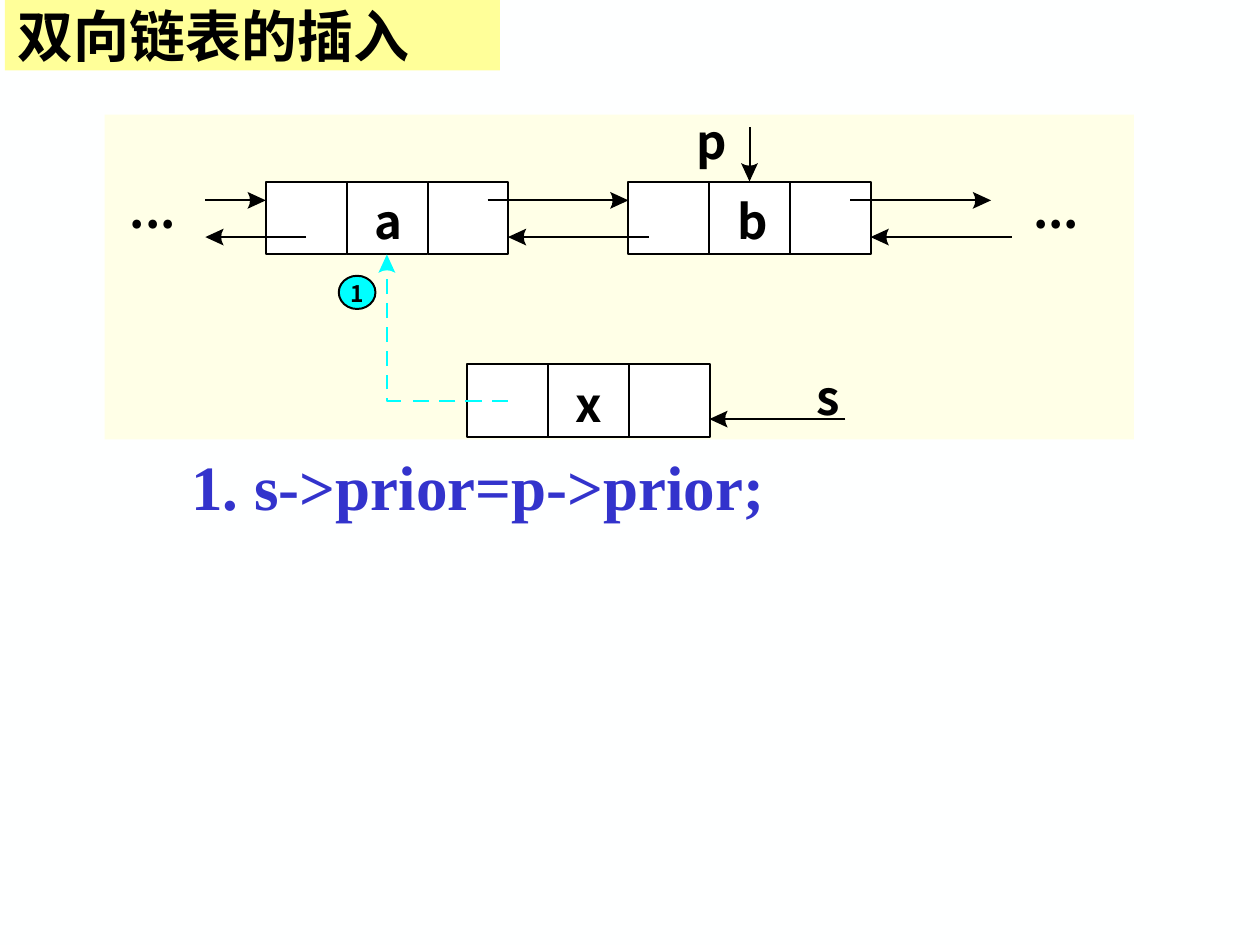
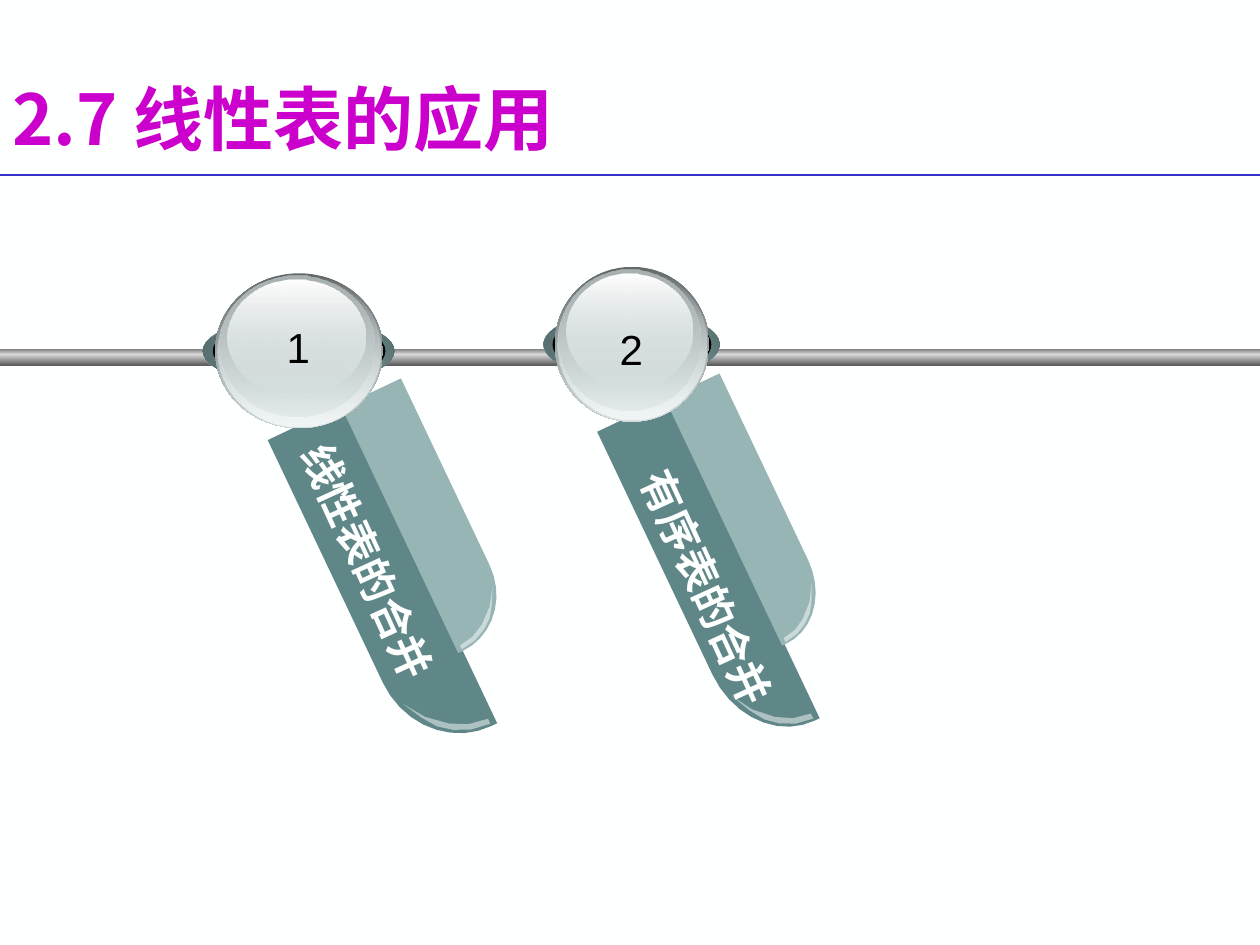
import math
from dataclasses import dataclass
from typing import NamedTuple

from lxml import etree
from pptx import Presentation
from pptx import util as u
from pptx.dml.color import RGBColor
from pptx.enum import shapes as kind
from pptx.enum import text as style
from pptx.oxml.ns import qn


@dataclass(frozen=True)
class Theme:
    back: str = "FEFFFF"
    ink: str = "000000"
    white: str = "FFFFFF"
    blue: str = "3333CC"
    cyan: str = "00FFFF"
    pink: str = "CC00CC"
    band: str = "FFFF99"
    panel: str = "FFFFE7"
    leaf: str = "608788"
    pale: str = "98B5B6"
    cjk: str = "Noto Sans CJK SC"
    serif: str = "Times New Roman"
    sans: str = "Arial"
    title: float = 40
    code: float = 36
    head: float = 32
    node: float = 27
    label: float = 24
    badge: float = 13
    thin: float = 1.13


T = Theme()


class Stop(NamedTuple):
    pos: int
    color: str
    alpha: int = 100


class Grad(NamedTuple):
    angle: int
    stops: tuple


class Disc(NamedTuple):
    """Ellipse placed from the ball's centre line and top, in cm."""
    left: float
    top: float
    width: float
    height: float
    fill: object


class Tag(NamedTuple):
    """Hanging leaf pair under a numbered ball."""
    mid: float      # ball centre line
    top: float      # ball top
    wide: float     # width factor of the ball
    slim: float     # width factor of the leaves
    root: tuple     # corner of the dark leaf
    fork: tuple     # corner of the pale leaf
    text: str
    area: tuple
    wrap: bool
    num: str
    spot: tuple


class Arrow(NamedTuple):
    start: tuple
    end: tuple


# Drawing helpers
def rgb(code: str) -> RGBColor:
    return RGBColor.from_string(code)


def cms(vals) -> list:
    return [u.Cm(v) for v in vals]


def paint(shape, fill, line: str = "", alpha: int = 100) -> None:
    """Set fill and outline; fill is a colour, a Grad or empty."""
    shape.shadow.inherit = False
    if isinstance(fill, Grad):
        shape.fill.gradient()
        grad = shape._element.spPr.find(qn("a:gradFill"))
        grad.clear()
        stops = etree.SubElement(grad, qn("a:gsLst"))
        for stop in fill.stops:
            gs = etree.SubElement(stops, qn("a:gs"), pos=str(stop.pos * 1000))
            tint = etree.SubElement(gs, qn("a:srgbClr"), val=stop.color)
            etree.SubElement(tint, qn("a:alpha"), val=str(stop.alpha * 1000))
        etree.SubElement(grad, qn("a:lin"), ang=str(fill.angle * 60000), scaled="0")
    elif fill:
        shape.fill.solid()
        shape.fill.fore_color.rgb = rgb(fill)
        if alpha < 100:
            tint = shape._element.spPr.find(qn("a:solidFill"))[0]
            etree.SubElement(tint, qn("a:alpha"), val=str(alpha * 1000))
    else:
        shape.fill.background()
    if line:
        shape.line.color.rgb = rgb(line)
        shape.line.width = u.Pt(T.thin)
    else:
        shape.line.fill.background()


def block(home, area, fill, line: str = "", oval: bool = False):
    form = kind.MSO_SHAPE.OVAL if oval else kind.MSO_SHAPE.RECTANGLE
    shape = home.add_shape(form, *cms(area))
    paint(shape, fill, line)
    return shape


def poly(home, pts, fill: str = "", line: str = "", alpha: int = 100) -> None:
    first, *rest = [tuple(cms(p)) for p in pts]
    path = home.build_freeform(*first, scale=1.0)
    path.add_line_segments(rest, close=bool(fill))
    paint(path.convert_to_shape(), fill, line, alpha)


def rule(home, start, end, color: str = T.ink, width: float = T.thin) -> None:
    line = home.add_connector(kind.MSO_CONNECTOR.STRAIGHT, *cms((*start, *end)))
    line.line.color.rgb = rgb(color)
    line.line.width = u.Pt(width)
    etree.SubElement(line._element.spPr, qn("a:effectLst"))


def barb(home, tip, turn: float, color: str = T.ink) -> None:
    """Arrowhead with a hollow back, pointing along turn."""
    cos, sin = math.cos(turn), math.sin(turn)
    form = ((0, 0), (-.37, .17), (-.33, .08), (-.32, 0), (-.33, -.08), (-.37, -.17))
    poly(home, [(tip[0] + x * cos - y * sin, tip[1] + x * sin + y * cos)
                for x, y in form], color)


def arrow(home, item: Arrow) -> None:
    (x, y), (a, b) = item
    turn = math.atan2(b - y, a - x)
    rule(home, item.start, (a - .28 * math.cos(turn), b - .28 * math.sin(turn)))
    barb(home, item.end, turn)


def write(home, text: str, area=None, *, size: float, color: str = T.ink,
          font: str = T.cjk, bold: bool = True, wrap: bool = False,
          tight: bool = False, mid: bool = False, center: bool = False,
          fit: bool = True, turn: float = 0) -> None:
    """Put text in a new box at area, or in the given shape if area is None."""
    box = home.add_textbox(*cms(area)) if area else home
    box.rotation = turn
    frame = box.text_frame
    frame.word_wrap = wrap
    if fit:
        frame.auto_size = style.MSO_AUTO_SIZE.SHAPE_TO_FIT_TEXT
    if tight:
        frame.margin_left = frame.margin_right = 0
        frame.margin_top = frame.margin_bottom = 0
    frame.vertical_anchor = style.MSO_ANCHOR.MIDDLE if mid else style.MSO_ANCHOR.TOP
    para = frame.paragraphs[0]
    para.alignment = style.PP_ALIGN.CENTER if center else style.PP_ALIGN.LEFT
    run = para.add_run()
    run.text = text
    run.font.name, run.font.size, run.font.bold = font, u.Pt(size), bold
    run.font.color.rgb = rgb(color)
    etree.SubElement(run.font._element, qn("a:ea"), typeface=font)


def page(deck):
    slide = deck.slides.add_slide(deck.slide_layouts[6])
    slide.background.fill.solid()
    slide.background.fill.fore_color.rgb = rgb(T.back)
    return slide.shapes


# Slide 1: inserting into a doubly linked list
CELL, TALL = 1.63, 1.47
NODES = (("a", 5.36, 3.66), ("b", 12.67, 3.66), ("x", 9.42, 7.34))
LINKS = (
    Arrow((4.14, 4.04), (5.36, 4.04)), Arrow((6.17, 4.78), (4.14, 4.78)),
    Arrow((9.83, 4.04), (12.67, 4.04)), Arrow((13.08, 4.78), (10.24, 4.78)),
    Arrow((17.14, 4.04), (19.98, 4.04)), Arrow((20.4, 4.78), (17.55, 4.78)),
    Arrow((15.11, 2.57), (15.11, 3.66)), Arrow((17.04, 8.45), (14.3, 8.45)),
)
MARKS = (("...", 20.83, 3.66, 1.45), ("...", 2.62, 3.66, 1.45),
         ("p", 14.05, 2.26, .48), ("s", 16.46, 7.42, .48))


def insert(deck) -> None:
    home = page(deck)
    write(home, "1. s->prior=p->prior;", (3.61, 8.89, 12.07, 1.78),
          size=T.code, color=T.blue, font=T.serif)
    bar = block(home, (.1, 0, 9.98, 1.42), T.band)
    write(bar, "双向链表的插入", size=T.head, wrap=True, mid=True, fit=False)
    block(home, (2.11, 2.31, 20.75, 6.55), T.panel)

    # Nodes of three cells, links and names
    for name, left, top in NODES:
        for col in range(3):
            block(home, (left + col * CELL, top, CELL, TALL), T.white, T.ink)
        write(home, name, (left + CELL + .56, top + .22, .48, 1.14),
              size=T.node, tight=True)
    for link in LINKS:
        arrow(home, link)
    for name, left, top, width in MARKS:
        write(home, name, (left, top, width, 1.14), size=T.node, tight=True)

    # Dashed new link from x up to a
    turn, row, stop = 7.8, 8.08, 5.38
    for i in range(4):
        x = 10.24 - i * .53
        rule(home, (x, row), (x - .33, row), T.cyan)
    poly(home, ((8.08, row), (turn, row), (turn, 8.03)), line=T.cyan)
    for i in range(6):
        y = 7.85 - i * .48
        rule(home, (turn, y), (turn, max(y - .3, stop)), T.cyan)
    barb(home, (turn, 5.13), -math.pi / 2, T.cyan)
    block(home, (6.83, 5.56, .74, .67), T.cyan, T.ink, oval=True)
    write(home, "1", (7.06, 5.64, .23, .56), size=T.badge, tight=True)


# Slide 2: uses of linear lists
def fade(angle: int, *stops) -> Grad:
    return Grad(angle, tuple(Stop(*s) for s in stops))


RIM = (-1.64, .89, .51, 1.35)
RING = (-1.94, .89, 3.86, 1.35)
DISCS = (
    Disc(*RIM, fade(45, (0, "FFFFFF"), (50, "83A6A7"), (100, "FFFFFF"))),
    Disc(*RIM, fade(45, (0, "83A6A7", 32), (100, "000000", 90))),
    Disc(*RING, fade(315, (0, "475A5A"), (50, "83A6A7"), (100, "475A5A"))),
    Disc(*RING, fade(45, (0, "53696A"), (100, "83A6A7", 0))),
    Disc(-1.74, .89, 3.48, 1.35, T.ink),
    Disc(-1.69, 0, 3.38, 3.12, fade(90, (0, "636869"), (100, "D6E1E2"))),
    Disc(-1.64, .03, 3.28, 3.05, fade(90, (0, "D6E1E2", 0), (100, "F1F5F5"))),
    Disc(-1.61, .05, 3.12, 2.84, fade(90, (0, "AAB2B3"), (100, "D6E1E2", 48))),
    Disc(-1.44, .13, 2.77, 2.31, fade(90, (0, "FFFFFF"), (100, "D6E1E2", 38))),
)
TAGS = (
    Tag(6.03, 5.51, 1, 1, (6.96, 8.13), (6.88, 8.2), "线性表的合并",
        (4.62, 10.69, 5.61, 1.27), False, "1", (5.28, 6.35, 1.47, 1.27)),
    Tag(12.74, 5.38, .92, .91, (13.46, 8.03), (13.41, 8.05), "有序表的合并",
        (11.23, 11.56, 6.35, 1.27), True, "2", (11.99, 6.4, 1.47, 1.27)),
)
# Leaf outlines: along the leaf, then across it
ARC = [math.radians(90 - 10 * i) for i in range(10)]
LEAF = [(0, 0), (0, 1.73), *((5.42 + 1.72 * math.cos(a), .13 + 1.6 * math.sin(a))
                             for a in ARC), (7.14, 0)]
GLEAM = ((7.09, .13), (7.03, .53), (6.88, .86), (6.68, 1.12), (6.4, 1.32),
         (5.97, 1.55), (6.4, 1.26), (6.73, .88), (6.91, .53), (6.98, .13))
TILT = math.radians(64.6)


def lean(pts, root, size: float, side: float) -> list:
    """Scale a leaf outline, tilt it and hang it from root."""
    cos, sin = math.cos(TILT), math.sin(TILT)
    return [(root[0] + size * (a * cos - side * b * sin),
             root[1] + size * (a * sin + side * b * cos)) for a, b in pts]


def hang(home, tag: Tag) -> None:
    home = home.add_group_shape().shapes
    for root, size, side, color in ((tag.root, 1, tag.slim, T.leaf),
                                    (tag.fork, .77, -tag.slim, T.pale)):
        poly(home, lean(LEAF, root, size, side), color)
        poly(home, lean(GLEAM, root, size, side), T.white, alpha=49)
    for disc in DISCS:
        block(home, (tag.mid + disc.left * tag.wide, tag.top + disc.top,
                     disc.width * tag.wide, disc.height), disc.fill, oval=True)
    write(home, tag.text, tag.area, size=T.label, color=T.back,
          wrap=tag.wrap, turn=65.4)


def uses(deck) -> None:
    home = page(deck)
    write(home, "2.7 线性表的应用", (0, 1.42, 21.82, 1.91), size=T.title,
          color=T.pink, wrap=True, mid=True, fit=False)
    rule(home, (0, 3.53), (25.4, 3.53), T.blue, 1)

    # Rail with the hanging tags
    rail = home.add_group_shape().shapes
    block(rail, (0, 7.04, 25.4, .13), fade(90, (0, "808080"), (100, "ECECEC")))
    block(rail, (0, 7.16, 25.4, .2), fade(90, (0, "CFCFCF"), (100, "5F5F5F")))
    for tag in TAGS:
        hang(home, tag)
    for tag in TAGS:
        write(home, tag.num, tag.spot, size=T.label, font=T.sans, bold=False,
              wrap=True, center=True)


def main() -> None:
    deck = Presentation()
    deck.slide_width, deck.slide_height = u.Cm(25.4), u.Cm(19.05)
    insert(deck)
    uses(deck)
    deck.save("out.pptx")


if __name__ == "__main__":
    main()
